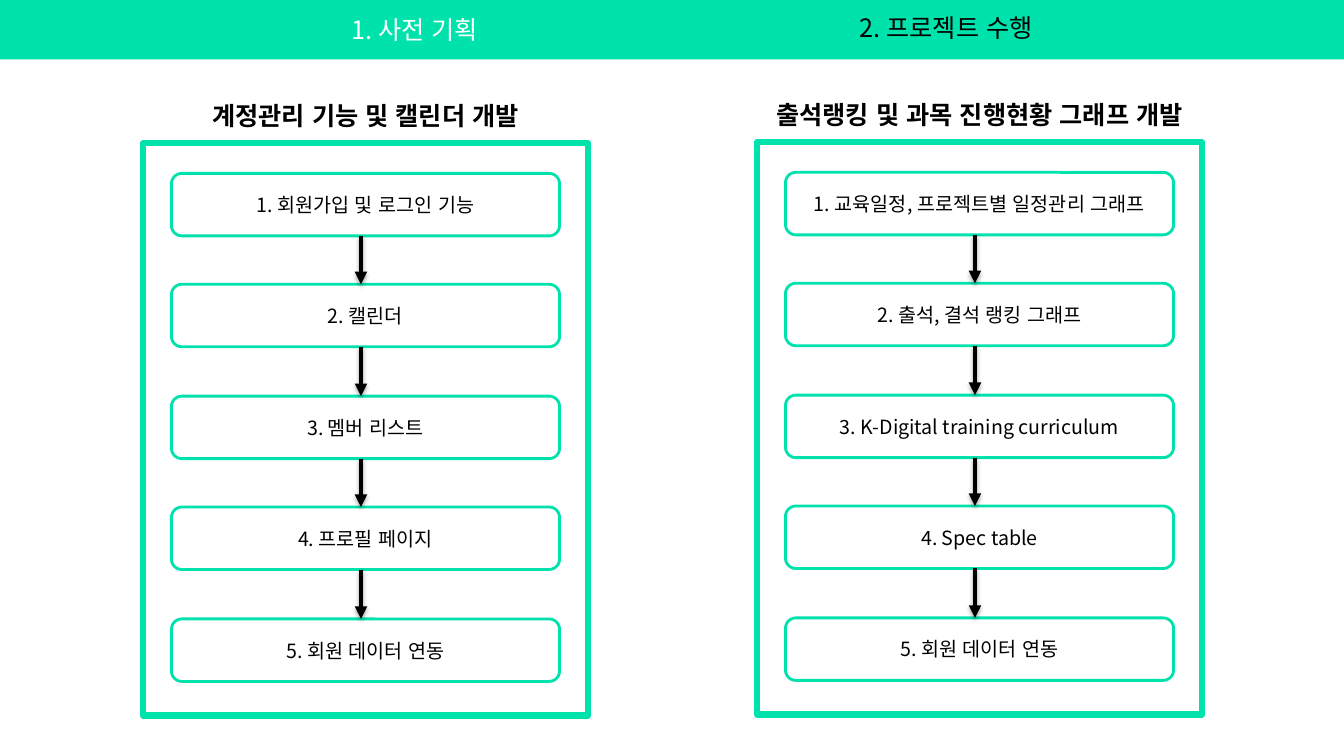
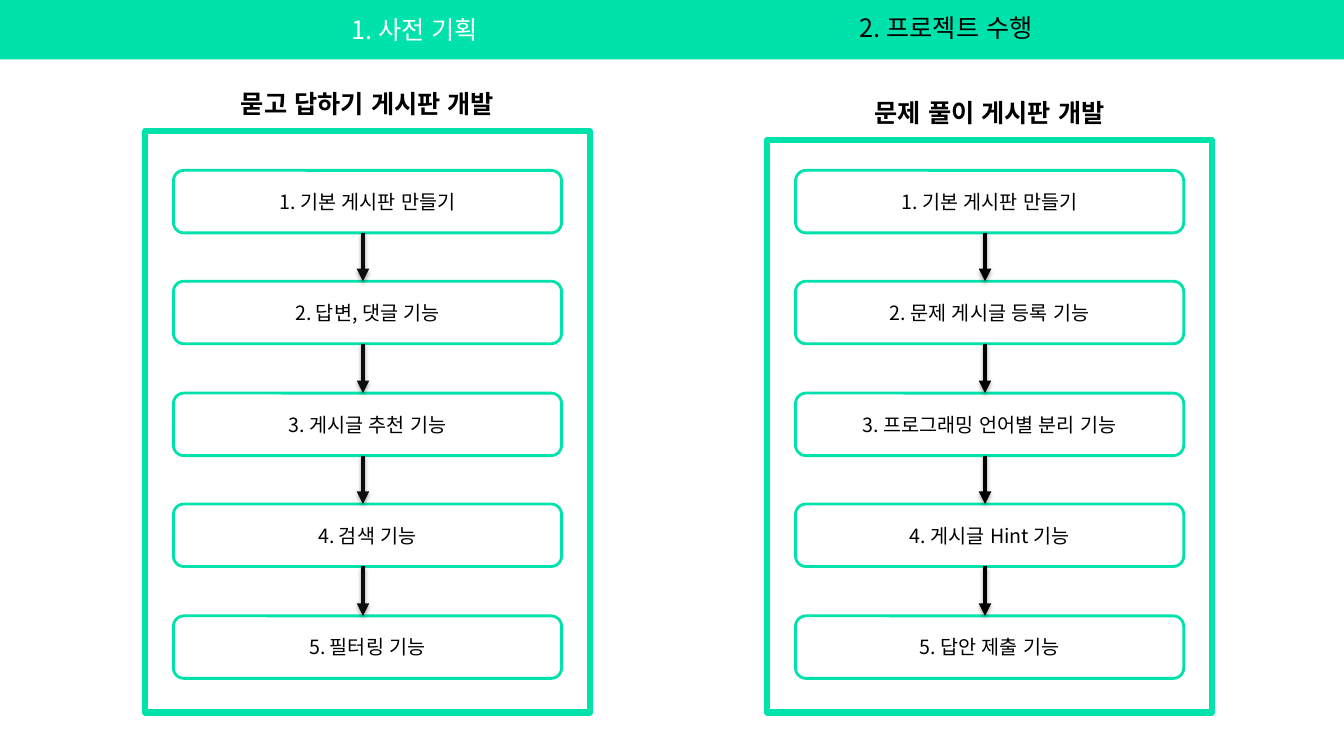
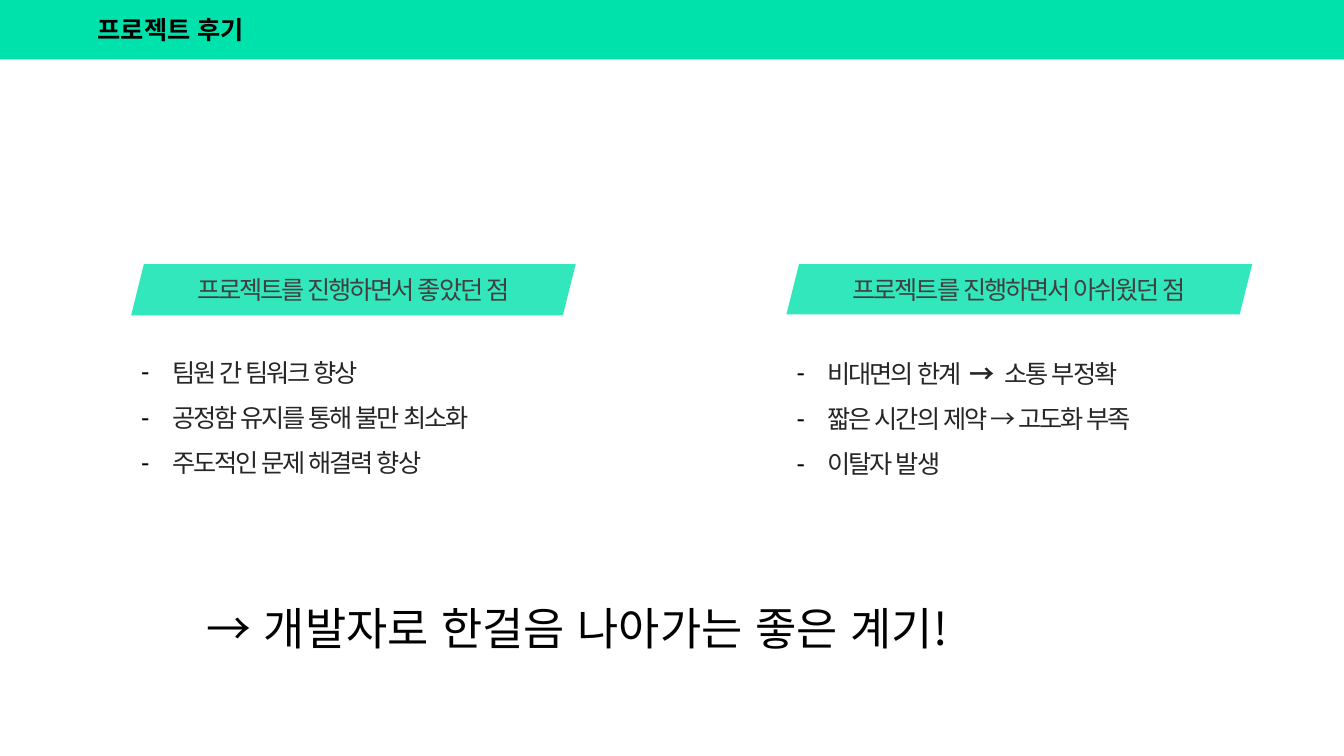
from dataclasses import dataclass

from lxml.etree import SubElement
from pptx import Presentation
from pptx.dml.color import RGBColor
from pptx.enum.lang import MSO_LANGUAGE_ID as Language
from pptx.enum.shapes import MSO_CONNECTOR as Connector, MSO_SHAPE as Shape
from pptx.enum.text import MSO_ANCHOR as Anchor, MSO_AUTO_SIZE as AutoSize, PP_ALIGN as Align
from pptx.oxml.ns import qn
from pptx.util import Emu, Pt

EMU_PER_PX = 9144
SLIDE_WIDTH, SLIDE_HEIGHT = 1333, 750
TITLE_ONLY, TWO_CONTENT = 5, 3


@dataclass(frozen=True)
class Theme:
    font: str = "Noto Sans CJK KR"
    accent: str = "00E2AC"
    paper: str = "FFFFFF"
    ink: str = "000000"
    soft_ink: str = "0D0D0D"
    label_ink: str = "404040"
    list_ink: str = "262626"
    heading_size: int = 18
    step_size: int = 14
    closing_size: int = 32
    list_line: float = 32.4
    tight: float = -1.5
    panel_line: float = 4.5
    step_line: float = 2
    arrow_line: float = 3


THEME = Theme()


def px(*lengths):
    return [Emu(length * EMU_PER_PX) for length in lengths]


def rgb(code):
    return RGBColor.from_string(code)


def add_node(parent, tag, **attributes):
    node = SubElement(parent, qn(tag))
    for key, value in attributes.items():
        node.set(key, str(value))
    return node


def add_dash(paragraph):
    """Give a paragraph a hanging dash bullet."""
    properties = paragraph._p.get_or_add_pPr()
    indent = px(31)[0]
    properties.set("marL", str(indent))
    properties.set("indent", str(-indent))
    add_node(add_node(properties, "a:buClr"), "a:srgbClr", val=THEME.ink)
    add_node(properties, "a:buChar", char="-")


def format_run(run, size, color, bold=False, tracking=0):
    font = run.font
    font.size, font.bold = Pt(size), bold
    font.color.rgb = rgb(color)
    font.name = THEME.font
    font.language_id = Language.KOREAN
    properties = run._r.get_or_add_rPr()
    add_node(properties, "a:ea", typeface=THEME.font)
    if tracking:
        properties.set("spc", str(int(tracking * 100)))


def write(shape, *paragraphs, align=Align.CENTER, anchor=Anchor.MIDDLE,
          dashed=False, line=None, **run_format):
    """Fill a shape; a paragraph is a string or a list of (text, overrides)."""
    frame = shape.text_frame
    frame.word_wrap, frame.auto_size = True, AutoSize.NONE
    frame.vertical_anchor = anchor
    for index, content in enumerate(paragraphs):
        paragraph = frame.add_paragraph() if index else frame.paragraphs[0]
        paragraph.alignment = align
        paragraph.space_before = Pt(0)
        if line:
            paragraph.line_spacing = Pt(line)
        if dashed:
            add_dash(paragraph)
        runs = [(content, {})] if isinstance(content, str) else content
        for text, overrides in runs:
            run = paragraph.add_run()
            run.text = text
            format_run(run, **{**run_format, **overrides})


class Deck:
    def __init__(self):
        self.presentation = Presentation()
        self.presentation.slide_width, self.presentation.slide_height = px(SLIDE_WIDTH, SLIDE_HEIGHT)
        self.slide = None

    def start(self, layout, title, box, bold=False):
        """Open a slide with the green band and its title."""
        self.slide = self.presentation.slides.add_slide(self.presentation.slide_layouts[layout])
        band = self.block(Shape.RECTANGLE, (0, 0, SLIDE_WIDTH, 59), fill=THEME.accent)
        self.slide.shapes._spTree.insert(2, band._element)
        self.place(self.slide.shapes.title, box)
        write(self.slide.shapes.title, title, size=THEME.heading_size, color=THEME.ink, bold=bold)

    def place(self, shape, box):
        shape.left, shape.top, shape.width, shape.height = px(*box)

    def block(self, kind, box, fill, line_width=None, opacity=None):
        shape = self.slide.shapes.add_shape(kind, *px(*box))
        shape.shadow.inherit = False
        shape.fill.solid()
        shape.fill.fore_color.rgb = rgb(fill)
        if opacity:
            color = shape._element.spPr.find(qn("a:solidFill"))[0]
            add_node(color, "a:alpha", val=opacity * 1000)
        if line_width:
            shape.line.color.rgb = rgb(THEME.accent)
            shape.line.width = Pt(line_width)
        else:
            shape.line.fill.background()
        return shape

    def label(self, box, text, **text_format):
        write(self.slide.shapes.add_textbox(*px(*box)), text, **text_format)

    def arrow(self, x, top, bottom, color):
        arrow = self.slide.shapes.add_connector(Connector.STRAIGHT, *px(x, top, x, bottom))
        arrow.line.color.rgb = rgb(color)
        arrow.line.width = Pt(THEME.arrow_line)
        properties = arrow._element.spPr
        add_node(arrow.line._get_or_add_ln(), "a:tailEnd", type="triangle")
        shadow = add_node(add_node(properties, "a:effectLst"), "a:outerShdw", blurRad=Pt(3.1),
                          dist=Pt(1.8), dir=5400000, rotWithShape=0)
        add_node(add_node(shadow, "a:srgbClr", val=THEME.ink), "a:alpha", val=35000)

    def flow(self, heading, steps, left, top, height=568, first=30, arrow_color=THEME.ink):
        """Draw a framed column of steps joined by arrows."""
        width, step_height, span = 441, 62, 442
        self.block(Shape.RECTANGLE, (left, top, width, height), THEME.paper, THEME.panel_line)
        self.label((left, top - 47, width, 40), heading,
                   size=THEME.heading_size, color=THEME.ink, bold=True)
        tops = [top + first + span * i // (len(steps) - 1) for i in range(len(steps))]
        for number, (step, step_top) in enumerate(zip(steps, tops), 1):
            box = self.block(Shape.ROUNDED_RECTANGLE, (left + 28, step_top, 385, step_height),
                             THEME.paper, THEME.step_line)
            write(box, f"{number}. {step}", size=THEME.step_size, color=THEME.ink)
        for above, below in zip(tops, tops[1:]):
            self.arrow(left + 216, above + step_height, below, arrow_color)

    def project_slide(self, *flows):
        self.start(TITLE_ONLY, "2. 프로젝트 수행", (829, 7, 219, 40))
        self.label((253, 9, 317, 40), "1. 사전 기획", size=THEME.heading_size, color=THEME.paper)
        for flow in flows:
            self.flow(**flow)

    def review(self, body, heading, items, heading_box, list_box):
        banner = self.block(Shape.PARALLELOGRAM, heading_box, THEME.accent, opacity=80)
        write(banner, heading, size=THEME.heading_size, color=THEME.label_ink, tracking=THEME.tight)
        self.place(body, list_box)
        write(body, *items, align=Align.LEFT, anchor=Anchor.TOP, dashed=True, line=THEME.list_line,
              size=THEME.heading_size, color=THEME.list_ink, tracking=THEME.tight)


def main():
    deck = Deck()
    deck.project_slide(
        dict(heading="계정관리 기능 및 캘린더 개발", left=142, top=142,
             steps=["회원가입 및 로그인 기능", "캘린더", "멤버 리스트", "프로필 페이지",
                    "회원 데이터 연동"]),
        dict(heading="출석랭킹 및 과목 진행현황 그래프 개발", left=751, top=141,
             steps=["교육일정, 프로젝트별 일정관리 그래프", "출석, 결석 랭킹 그래프",
                    "K-Digital training curriculum", "Spec table", "회원 데이터 연동"]))
    deck.project_slide(
        dict(heading="묻고 답하기 게시판 개발", left=144, top=130, height=577, first=39,
             arrow_color=THEME.soft_ink,
             steps=["기본 게시판 만들기", "답변, 댓글 기능", "게시글 추천 기능", "검색 기능",
                    "필터링 기능"]),
        dict(heading="문제 풀이 게시판 개발", left=761, top=139,
             steps=["기본 게시판 만들기", "문제 게시글 등록 기능", "프로그래밍 언어별 분리 기능",
                    "게시글 Hint 기능", "답안 제출 기능"]))

    deck.start(TWO_CONTENT, "프로젝트 후기", (60, 9, 219, 40), bold=True)
    good_list, regret_list = list(deck.slide.placeholders)[1:]
    deck.review(good_list, "프로젝트를 진행하면서 좋았던 점",
                ["팀원 간 팀워크 향상", "공정함 유지를 통해 불만 최소화", "주도적인 문제 해결력 향상"],
                (130, 262, 441, 51), (130, 334, 454, 186))
    deck.review(regret_list, "프로젝트를 진행하면서 아쉬웠던 점",
                [[("비대면의 한계", {}), (" → ", dict(bold=True, tracking=1)), ("소통 부정확", {})],
                 "짧은 시간의 제약 → 고도화 부족", "이탈자 발생"],
                (780, 262, 462, 50), (780, 335, 418, 142))
    deck.label((195, 591, 1046, 64), "→ 개발자로 한걸음 나아가는 좋은 계기!", align=Align.LEFT,
               size=THEME.closing_size, color=THEME.ink)
    deck.presentation.save("out.pptx")


if __name__ == "__main__":
    main()
